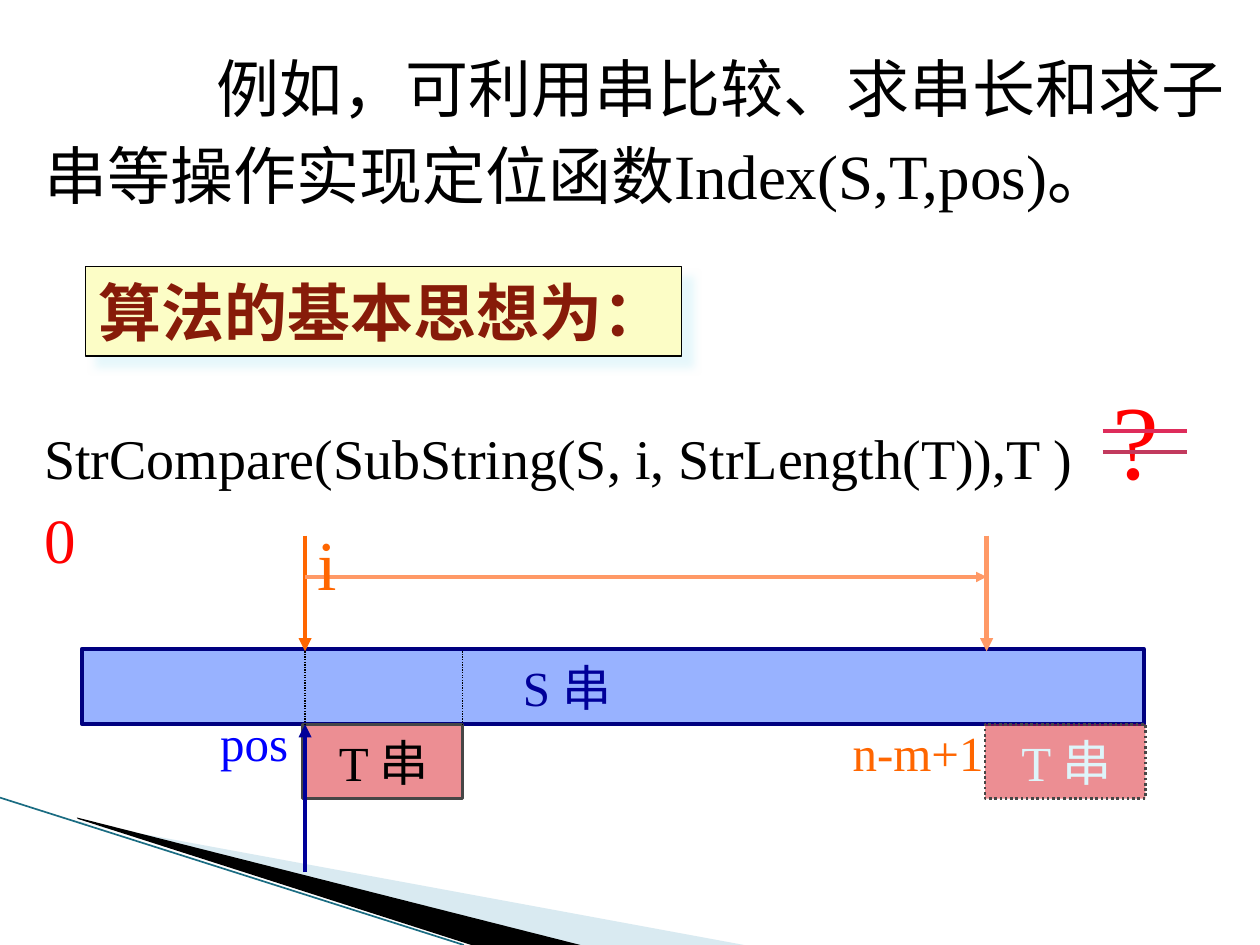
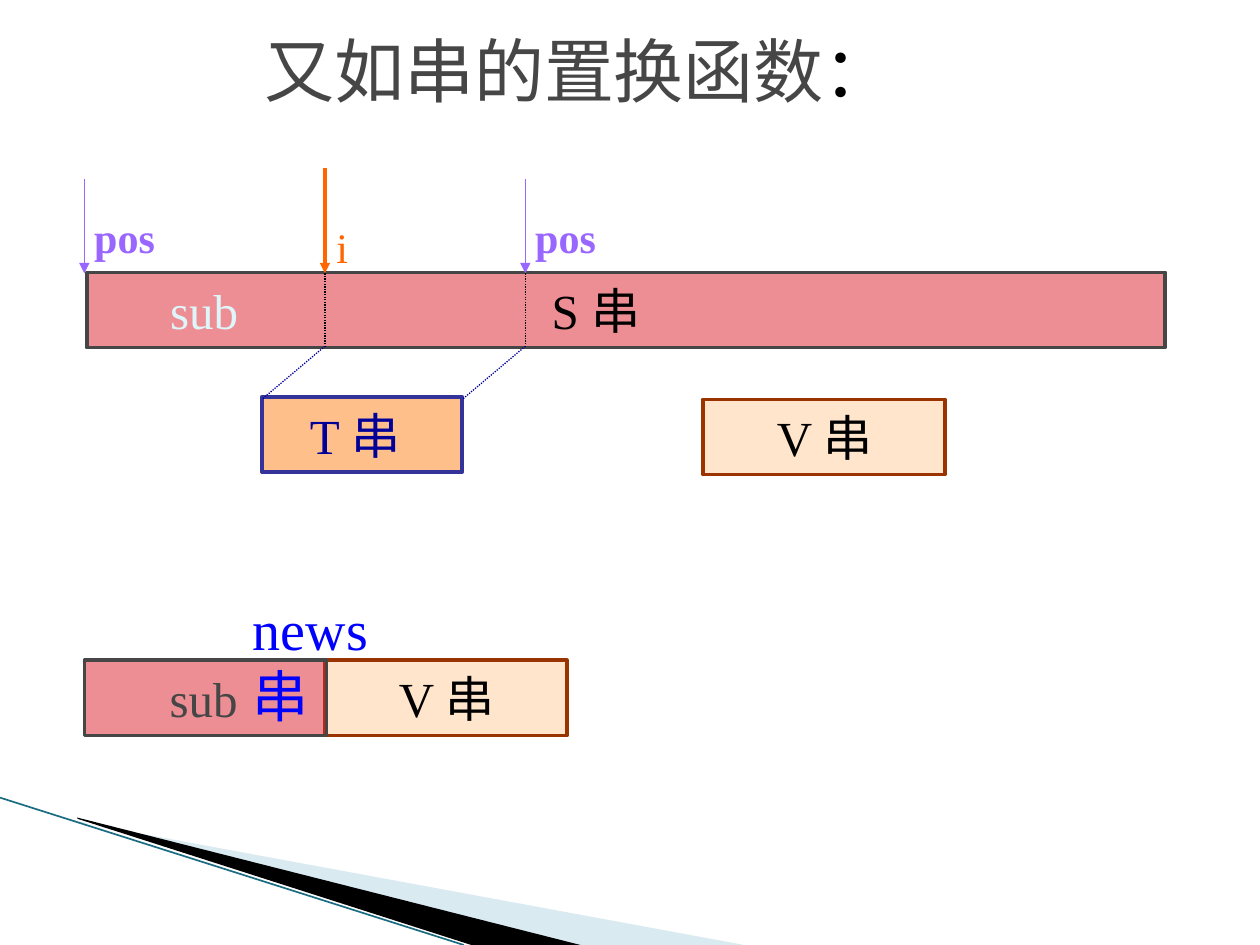
from dataclasses import dataclass

from lxml.etree import SubElement
from pptx import Presentation
from pptx.dml.color import RGBColor as Rgb
from pptx.enum.dml import MSO_LINE as Dash
from pptx.enum.shapes import MSO_CONNECTOR as Link, MSO_SHAPE as Form
from pptx.enum.text import MSO_ANCHOR as Anchor, PP_ALIGN as Align
from pptx.oxml.ns import qn
from pptx.util import Cm, Pt


@dataclass(frozen=True)
class Theme:
    font: str = "Times New Roman"
    ink: str = "000000"
    grey: str = "464646"
    ice: str = "DEF5FA"
    teal: str = "1A6C82"
    pale: str = "A0CBDC"
    red: str = "FF0000"
    rose: str = "DA1F28"
    upper: str = "DE2C5B"
    lower: str = "C23A5E"
    blue: str = "0000FF"
    deep: str = "000099"
    navy: str = "000080"
    sky: str = "3366FF"
    indigo: str = "333399"
    orange: str = "FF6600"
    peach: str = "FF9966"
    amber: str = "FF8119"
    cream: str = "FFCC99"
    rust: str = "993300"
    violet: str = "9966FF"
    lemon: str = "FCFDC6"
    maroon: str = "871B09"
    small: int = 24
    base: int = 28
    code: int = 32
    head: int = 36
    title: int = 40
    mark: int = 60


T = Theme()
BAR = 1.52      # height of every string bar, cm
PAD = 0.25      # side inset of text, cm


def style(run, size, color, bold=None):
    font = run.font
    font.name, font.size, font.bold = T.font, Pt(size), bold
    font.color.rgb = Rgb.from_string(color)


def write(frame, text, size, color, bold=None):
    frame.text = text
    para = frame.paragraphs[0]
    para.alignment = Align.LEFT
    for run in para.runs:
        style(run, size, color, bold)
    return para


def extend(para, text, size, color):
    run = para.add_run()
    run.text = text
    style(run, size, color)


def label(slide, box, text, size, color, bold=None, wrap=False, anchor=Anchor.BOTTOM):
    frame = slide.shapes.add_textbox(*map(Cm, box)).text_frame
    frame.word_wrap = wrap
    frame.vertical_anchor = anchor
    return write(frame, text, size, color, bold)


def paint(shape, color, alpha=100):
    shape.shadow.inherit = False
    shape.fill.solid()
    shape.fill.fore_color.rgb = Rgb.from_string(color)
    if alpha < 100:
        tone = shape.element.spPr.find(qn("a:solidFill"))[0]
        SubElement(tone, qn("a:alpha"), val=str(alpha * 1000))


def bar(slide, box, text, fill, edge, color=T.ink, indent=0, width=2,
        alpha=50, dash=None, size=T.base, bold=None):
    """Draw a string bar whose text starts indent cm after the inset."""
    shape = slide.shapes.add_shape(Form.RECTANGLE, *map(Cm, box))
    paint(shape, fill, alpha)
    shape.line.color.rgb = Rgb.from_string(edge)
    shape.line.width = Pt(width)
    if dash:
        shape.line.dash_style = dash
    frame = shape.text_frame
    frame.word_wrap = True
    frame.vertical_anchor = Anchor.MIDDLE
    frame.margin_left = Cm(PAD + indent)
    frame.margin_top = frame.margin_bottom = 0
    write(frame, text, size, color, bold)
    return shape


def line(slide, start, end, color, width, tip=False, dash=None):
    link = slide.shapes.add_connector(Link.STRAIGHT, *map(Cm, start + end))
    link.line.color.rgb = Rgb.from_string(color)
    link.line.width = Pt(width)
    if dash:
        link.line.dash_style = dash
    if tip:
        SubElement(link.line._get_or_add_ln(), qn("a:tailEnd"), type="triangle")
    SubElement(link.element.spPr, qn("a:effectLst"))


def dots(slide, start, end, color=T.ink):
    line(slide, start, end, color, 0.75, dash=Dash.ROUND_DOT)


def wedge(slide, points, color, alpha=100):
    first, *rest = [(Cm(x), Cm(y)) for x, y in points]
    path = slide.shapes.build_freeform(*first)
    path.add_line_segments(rest)
    shape = path.convert_to_shape()
    paint(shape, color, alpha)
    shape.line.fill.background()


def decor(slide, top, foot):
    """Draw the swoosh between top and the foot of the slide."""
    wedge(slide, [(1.4, top + 0.46), (15, foot), (11.5, foot), (1.4, top + 0.43)],
          T.pale, 40)
    wedge(slide, [(1.55, top + 0.4), (11.7, foot), (9.5, foot), (1.57, top + 0.43)],
          T.ink)
    line(slide, (0, top), (9.35, foot), T.teal, 0.95)


def intro(slide, x, y):
    para = label(slide, (x, y, 24.97, 4.34),
                 "例如，可利用串比较、求串长和求子串等操作实现定位函数Index(S,T,pos)。",
                 T.head, T.ink, wrap=True, anchor=Anchor.TOP)
    para.line_spacing = 1.15
    para._p.get_or_add_pPr().set("indent", str(Cm(3.48)))


def idea(slide, box):
    shape = bar(slide, box, "算法的基本思想为：", T.lemon, T.ink, T.maroon,
                width=0.75, alpha=100, size=T.head, bold=True)
    shade = SubElement(shape.element.spPr.find(qn("a:effectLst")), qn("a:outerShdw"),
                       blurRad=str(Pt(5)), dist=str(Pt(8.5)), dir=str(45 * 60000))
    tone = SubElement(shade, qn("a:srgbClr"), val=T.ice)
    SubElement(tone, qn("a:alpha"), val="75000")


def test(slide, x, y):
    """Write the comparison with its questioned equals sign."""
    para = label(slide, (x, y, 24.23, 4), "StrCompare(SubString(S, i, StrLength(T)),T )",
                 T.code, T.ink, wrap=True, anchor=Anchor.TOP)
    tabs = SubElement(para._p.get_or_add_pPr(), qn("a:tabLst"))
    SubElement(tabs, qn("a:tab"), pos=str(Cm(21.54)), algn="l")
    extend(para, "\t?", T.mark, T.red)
    para.add_line_break()
    extend(para, "0", T.head, T.red)
    for drop, color in ((1.27, T.upper), (1.69, T.lower)):
        line(slide, (x + 21.59, y + drop), (x + 23.29, y + drop), color, 2.25)


def search(slide, x, y, w):
    """Show T sliding along the bar of S at x, y."""
    low = y + BAR
    first, past, last = x + 4.5, x + 7.67, x + 18.24
    sub = 3.23
    bar(slide, (x, y, w, BAR), "S 串", T.sky, T.navy, T.deep, 8.64)
    bar(slide, (first - 0.05, low, sub, 1.5), "T 串", T.rose, T.grey,
        indent=0.48, width=1.5)
    bar(slide, (x + w - sub + 0.03, low, sub, 1.5), "T 串", T.rose, T.grey, T.ice,
        0.48, 1.5, dash=Dash.ROUND_DOT)
    for mark in (first, past):
        dots(slide, (mark, y + 0.05), (mark, low))
    for mark, color in ((first, T.orange), (last, T.peach)):
        line(slide, (mark, y - 2.28), (mark, y + 0.05), color, 2.5, tip=True)
    line(slide, (first, y - 1.45), (last, y - 1.45), T.peach, 2, tip=True)
    line(slide, (first, low + 2.98), (first, low), T.deep, 2.5, tip=True)
    label(slide, (first, y - 2.72, 0.91, 1.96), "i", T.title, T.orange)
    label(slide, (first - 1.96, low - 0.38, 1.88, 1.45), "pos", T.base, T.blue)
    label(slide, (last - 2.95, low - 0.17, 3.15, 1.45), "n-m+1", T.base, T.orange)


def title(slide, box):
    para = label(slide, box, "又如串的置换函数", T.title, T.grey, anchor=Anchor.MIDDLE)
    extend(para, "：", T.title, T.ink)


def vbar(slide, x, y):
    bar(slide, (x, y, 4.88, BAR), "V 串", T.cream, T.rust, indent=1.24)


def source(slide, x, y, w):
    """Show S with T found inside it, and V beside T."""
    low = y + 1.49
    start, hit, past = x - 0.05, x + 4.8, x + 8.84
    skew = 1.27
    bar(slide, (x, y, w, BAR), "S 串", T.rose, T.grey, indent=9.12)
    bar(slide, (hit - skew, y + 2.51, past - hit, BAR), "T 串", T.amber, T.indigo,
        T.deep, 0.72)
    vbar(slide, x + 12.42, y + 2.56)
    for mark in (hit, past):
        dots(slide, (mark, y + 0.02), (mark, low))
        dots(slide, (mark, low), (mark - skew, y + 2.56), T.deep)
    for mark in (start, past):
        line(slide, (mark, y - 1.88), (mark, y + 0.02), T.violet, 0.75, tip=True)
        label(slide, (mark - 0.05, y - 1.35, 1.73, 1.27), "pos", T.small, T.violet, True)
    line(slide, (hit, y - 2.11), (hit, y + 0.02), T.orange, 2, tip=True)
    label(slide, (hit - 0.02, y - 1.15, 0.74, 1.27), "i", T.small, T.orange)
    label(slide, (x + 1.43, y + 0.02, 1.88, 1.45), "sub", T.base, T.ice)


def result(slide, x, y):
    """Show the new string made of sub and V."""
    vbar(slide, x + 4.85, y)
    bar(slide, (x, y, 4.88, BAR), "sub", T.rose, T.grey, T.grey, 1.47)
    label(slide, (x + 3.15, y - 1.45, 4.24, 3), "news\v串", T.code, T.blue,
          wrap=True, anchor=Anchor.TOP)


def main():
    deck = Presentation()
    deck.slide_width, deck.slide_height = Cm(25.4), Cm(19.05)
    index, swap = [deck.slides.add_slide(deck.slide_layouts[6]) for _ in range(2)]
    for slide in (index, swap):
        decor(slide, 16.08, 19.05)

    intro(index, 0.64, 0.64)
    test(index, 0.64, 7.42)
    search(index, 1.65, 13.08, 21.41)
    idea(index, (1.73, 5.38, 12.01, 1.8))

    title(swap, (5.08, 0.43, 13.21, 1.96))
    source(swap, 1.75, 5.49, 21.74)
    result(swap, 1.7, 13.31)
    deck.save("out.pptx")


if __name__ == "__main__":
    main()
